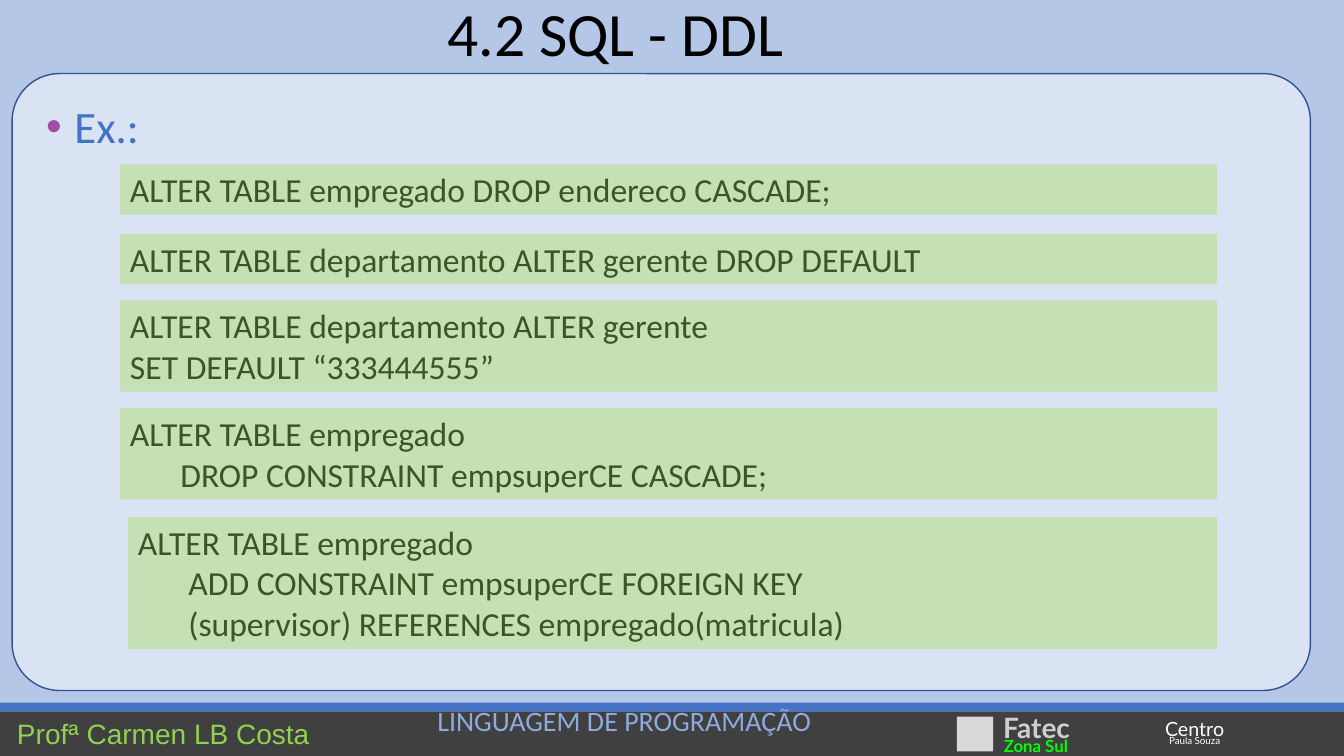
from lxml import etree
from pptx import Presentation
from pptx.dml.color import RGBColor
from pptx.enum.shapes import MSO_SHAPE
from pptx.enum.text import MSO_ANCHOR, MSO_AUTO_SIZE, PP_ALIGN
from pptx.oxml.ns import qn
from pptx.util import Inches, Pt

RECT, ROUND = MSO_SHAPE.RECTANGLE, MSO_SHAPE.ROUNDED_RECTANGLE
TOP, MIDDLE = MSO_ANCHOR.TOP, MSO_ANCHOR.MIDDLE
LEFT, CENTER = PP_ALIGN.LEFT, PP_ALIGN.CENTER
NO_FIT = MSO_AUTO_SIZE.NONE
WIDE, HIGH = Inches(13.33), Inches(7.5)
GRID = 100
CODES = [
    (8.93, 21.73, ["ALTER TABLE empregado DROP endereco CASCADE;"]),
    (8.93, 30.93, ["ALTER TABLE departamento ALTER gerente DROP DEFAULT"]),
    (8.93, 39.73, ["ALTER TABLE departamento ALTER gerente",
                   "SET DEFAULT “333444555”"]),
    (8.93, 54, ["ALTER TABLE empregado",
                "\tDROP CONSTRAINT empsuperCE CASCADE;"]),
    (9.53, 68.4, ["ALTER TABLE empregado",
                  "\tADD CONSTRAINT empsuperCE FOREIGN KEY",
                  "\t(supervisor) REFERENCES empregado(matricula)"]),
]
CODE_END = 90.55
LABELS = [
    ((0.53, 94, 24, 5.87), "Profª Carmen LB Costa",
     dict(size=20, color="92D050", face="Arial", anchor=MIDDLE)),
    ((31.8, 92.4, 46.8, 5.87), "LINGUAGEM DE PROGRAMAÇÃO",
     dict(size=20, color="8FAADC", anchor=MIDDLE)),
    ((85.95, 94.13, 5.95, 4.53), "Centro",
     dict(size=14, color="FFFFFF", face="Lato", wrap=False)),
    ((86.25, 96.53, 5.7, 2.93), "Paula Souza",
     dict(size=7, color="FFFFFF", face="Lato", wrap=False)),
    ((73.9, 93.33, 6.75, 5.87), "Fatec",
     dict(size=20, color="D0CECE", face="Lato", bold=True, wrap=False)),
    ((73.95, 96.67, 6.55, 4), "Zona Sul",
     dict(size=12, color="00FF00", face="Lato", bold=True, wrap=False)),
]


def rgb(code):
    """Turn a hex string into a colour."""
    return RGBColor.from_string(code)


def place(col, row, cols, rows):
    """Turn grid columns and rows into left, top, width and height."""
    return [int(n * full / GRID) for n, full in
            zip((col, row, cols, rows), (WIDE, HIGH, WIDE, HIGH))]


def write(shape, lines, size, color, face="Calibri", bold=False,
          align=LEFT, anchor=TOP, wrap=True, space=1.0, dot=None):
    """Fill a shape with formatted lines of text."""
    frame = shape.text_frame
    frame.word_wrap, frame.auto_size = wrap, NO_FIT
    frame.vertical_anchor = anchor
    for i, line in enumerate(lines):
        para = frame.add_paragraph() if i else frame.paragraphs[0]
        para.text, para.alignment, para.line_spacing = line, align, space
        if dot:
            bullet(para, dot)
        for run in para.runs:
            font = run.font
            font.name, font.size, font.bold = face, Pt(size), bold
            font.color.rgb = rgb(color)


def bullet(para, color):
    """Give a paragraph a coloured dot and a hanging indent."""
    props = para._p.get_or_add_pPr()
    props.set("marL", str(Inches(0.4)))
    props.set("indent", str(Inches(-0.28)))
    tint = etree.SubElement(props, qn("a:buClr"))
    etree.SubElement(tint, qn("a:srgbClr")).set("val", color)
    etree.SubElement(props, qn("a:buFont")).set("typeface", "Arial")
    etree.SubElement(props, qn("a:buChar")).set("char", "•")


def block(slide, spot, fill, kind=RECT, line=None):
    """Draw a filled shape on the grid."""
    shape = slide.shapes.add_shape(kind, *place(*spot))
    shape.shadow.inherit = False
    shape.fill.solid()
    shape.fill.fore_color.rgb = rgb(fill)
    if line:
        shape.line.color.rgb = rgb(line)
        shape.line.width = Pt(1)
    else:
        shape.line.fill.background()
    return shape


def label(slide, spot, text, **style):
    """Add a text box on the grid."""
    write(slide.shapes.add_textbox(*place(*spot)), [text], **style)


def code(slide, col, row, lines):
    """Add a green code box as high as its lines need."""
    spot = col, row, CODE_END - col, 1.27 + 5.4 * len(lines)
    write(block(slide, spot, "C5E0B4"), lines, size=24, color="385723")


def head(slide, text):
    """Set the slide title."""
    title = slide.shapes.title
    title.left, title.top, title.width, title.height = place(1.8, 0, 88, 9.73)
    write(title, [text], size=44, color="000000", align=CENTER,
          anchor=MIDDLE, space=0.9)


def main():
    """Build and save the slide."""
    deck = Presentation()
    deck.slide_width, deck.slide_height = WIDE, HIGH
    slide = deck.slides.add_slide(deck.slide_layouts[5])
    back = slide.background.fill
    back.solid()
    back.fore_color.rgb = rgb("B4C7E7")
    head(slide, "4.2 SQL - DDL")
    block(slide, (0, 92.93, 100, 1.2), "4472C4")
    block(slide, (0, 94.13, 100, 5.87), "404040")
    block(slide, (71.2, 94.8, 2.7, 4.6), "D9D9D9")
    for spot, text, style in LABELS:
        label(slide, spot, text, **style)
    panel = block(slide, (0.9, 9.73, 96.6, 81.6), "DAE3F3", ROUND, "325491")
    panel.adjustments[0] = 0.077
    label(slide, (1.8, 12.4, 67.5, 7.33), "Ex.:", size=32, color="4472C4",
          dot="A04DA3")
    for col, row, lines in CODES:
        code(slide, col, row, lines)
    deck.save("out.pptx")


if __name__ == "__main__":
    main()
